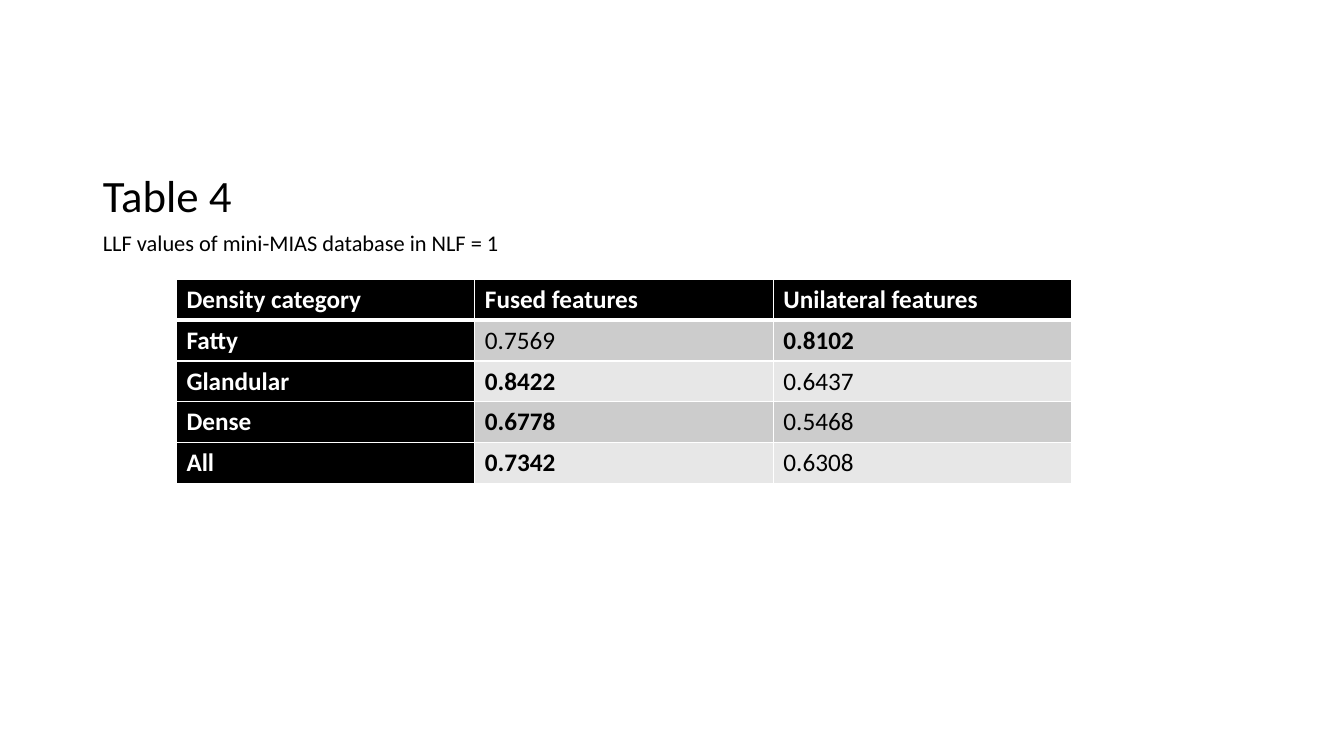
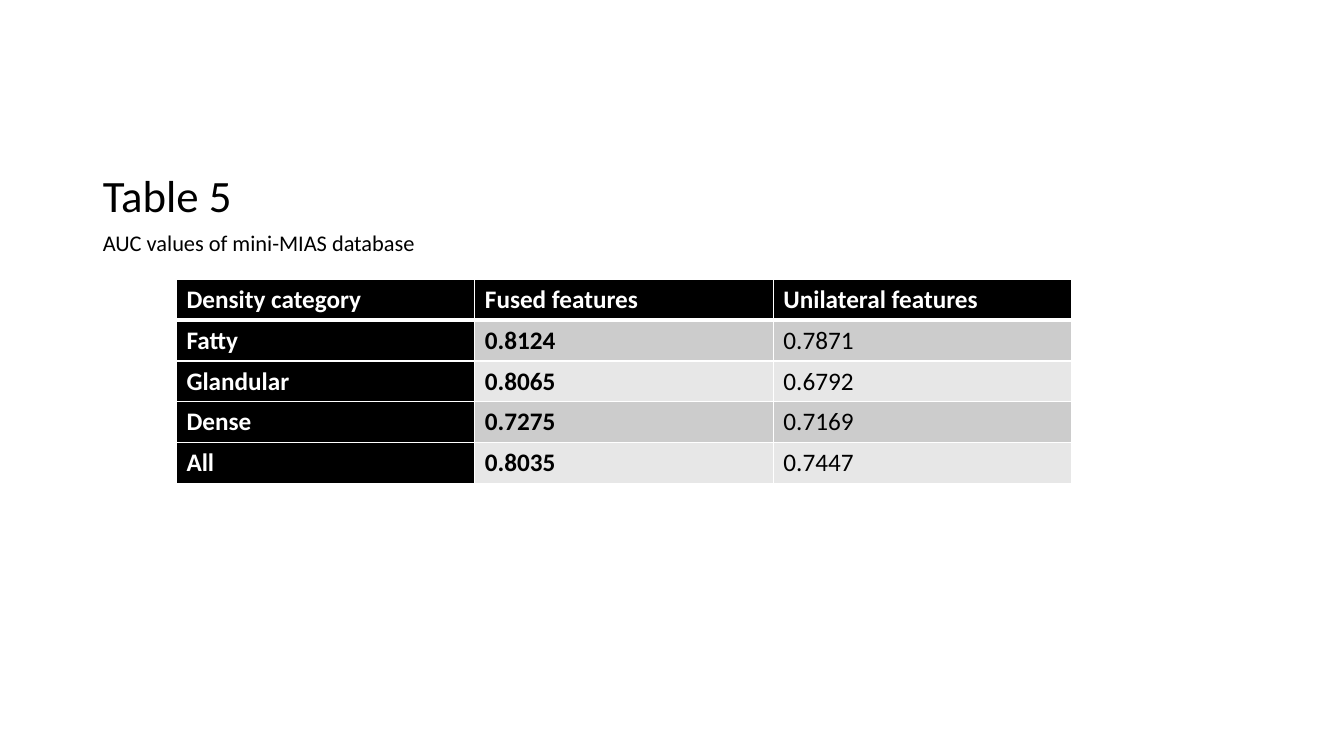
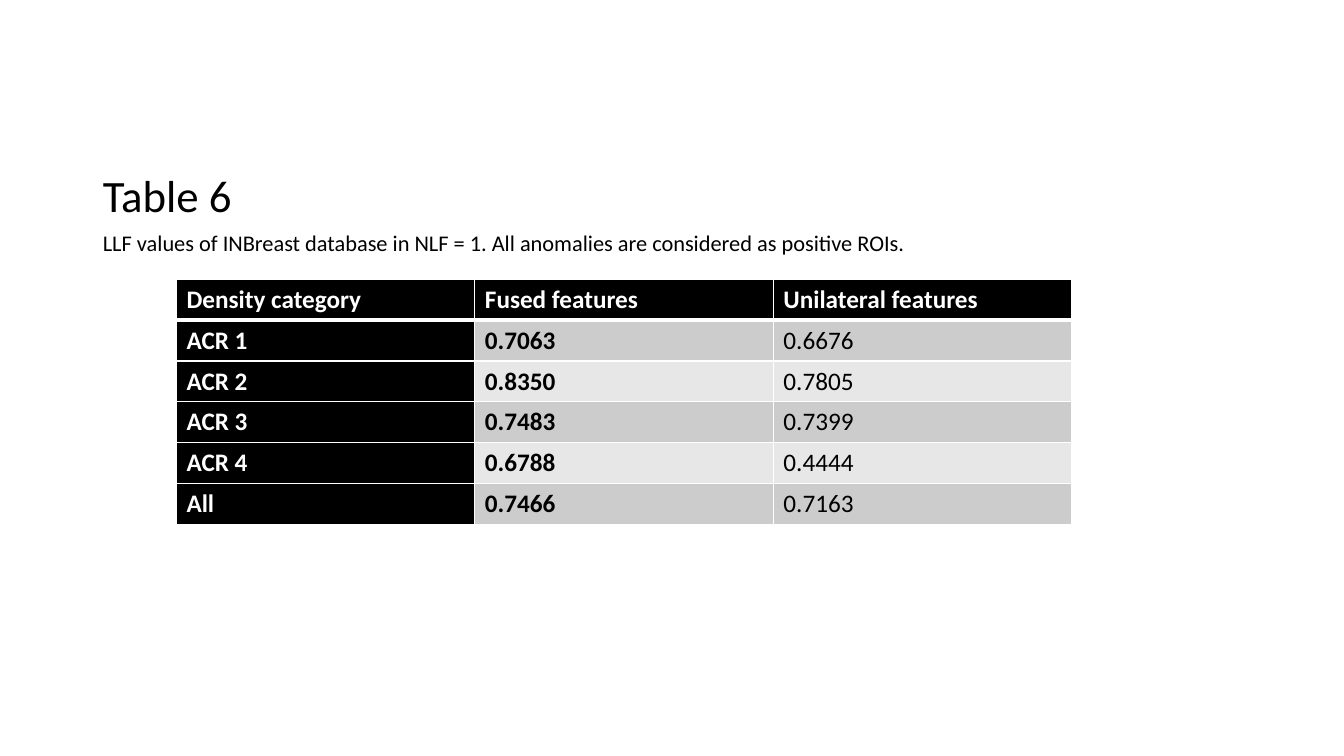
"""Build three slides of tables comparing fused and unilateral features."""
import lxml.etree
import pptx
import pptx.dml.color
import pptx.enum.text
import pptx.oxml.ns
import pptx.util

Inches = pptx.util.Inches
Pt = pptx.util.Pt
RGBColor = pptx.dml.color.RGBColor

BLACK = RGBColor(0x00, 0x00, 0x00)
WHITE = RGBColor(0xFF, 0xFF, 0xFF)
DARK_BAND = RGBColor(0xCC, 0xCC, 0xCC)
LIGHT_BAND = RGBColor(0xE7, 0xE7, 0xE7)
FONT = "Calibri"
MARGIN = 0.92
COLUMN_WIDTH = 2.96
ROW_HEIGHT = 0.405
HEADINGS = ("Density category", "Fused features", "Unilateral features")

RESULTS = [
    ("Table 4", "LLF values of mini-MIAS database in NLF = 1", 4.3, [
        ("Fatty", "0.7569", "0.8102"),
        ("Glandular", "0.8422", "0.6437"),
        ("Dense", "0.6778", "0.5468"),
        ("All", "0.7342", "0.6308"),
    ]),
    ("Table 5", "AUC values of mini-MIAS database", 4.3, [
        ("Fatty", "0.8124", "0.7871"),
        ("Glandular", "0.8065", "0.6792"),
        ("Dense", "0.7275", "0.7169"),
        ("All", "0.8035", "0.7447"),
    ]),
    ("Table 6",
     "LLF values of INBreast database in NLF = 1. All anomalies are considered as positive ROIs.", 10.3, [
         ("ACR 1", "0.7063", "0.6676"),
         ("ACR 2", "0.8350", "0.7805"),
         ("ACR 3", "0.7483", "0.7399"),
         ("ACR 4", "0.6788", "0.4444"),
         ("All", "0.7466", "0.7163"),
     ]),
]


def style_text(paragraph, size, color, bold=False):
    paragraph.font.name = FONT
    paragraph.font.size = Pt(size)
    paragraph.font.color.rgb = color
    paragraph.font.bold = bold


def add_border(cell, side, points):
    qn = pptx.oxml.ns.qn
    properties = cell._tc.get_or_add_tcPr()
    line = lxml.etree.SubElement(properties, qn(f"a:ln{side}"), w=str(Pt(points)))
    fill = lxml.etree.SubElement(line, qn("a:solidFill"))
    lxml.etree.SubElement(fill, qn("a:srgbClr"), val=str(WHITE))


presentation = pptx.Presentation()
presentation.slide_width = Inches(13.33)
presentation.slide_height = Inches(7.5)
caption_layout = presentation.slide_layouts.get_by_name("Content with Caption")

for heading, summary, summary_width, scores in RESULTS:
    slide = presentation.slides.add_slide(caption_layout)
    title, content, caption = slide.placeholders
    content.element.getparent().remove(content.element)

    for part, text, top, width, height, size, anchor, space in (
        (title, heading, 0.5, 4.3, 1.75, 32, pptx.enum.text.MSO_ANCHOR.BOTTOM, 0),
        (caption, summary, 2.25, summary_width, 4.17, 16, pptx.enum.text.MSO_ANCHOR.TOP, 10),
    ):
        part.left, part.top = Inches(MARGIN), Inches(top)
        part.width, part.height = Inches(width), Inches(height)
        part.text_frame.text = text
        part.text_frame.auto_size = pptx.enum.text.MSO_AUTO_SIZE.NONE
        part.text_frame.vertical_anchor = anchor
        paragraph = part.text_frame.paragraphs[0]
        paragraph.line_spacing = 0.9
        paragraph.space_before = Pt(space)
        style_text(paragraph, size, BLACK)

    rows = [HEADINGS] + scores
    score_table = slide.shapes.add_table(
        len(rows), len(HEADINGS), Inches(1.75), Inches(2.77),
        Inches(COLUMN_WIDTH * len(HEADINGS)), Inches(ROW_HEIGHT * len(rows))).table
    score_table.first_col = True

    for row_index, row in enumerate(rows):
        band = DARK_BAND if row_index % 2 else LIGHT_BAND
        for column_index, value in enumerate(row):
            cell = score_table.cell(row_index, column_index)
            is_label = row_index == 0 or column_index == 0
            for side in "LRTB":
                under_header = (row_index, side) in ((0, "B"), (1, "T"))
                add_border(cell, side, 3 if under_header else 1)
            cell.fill.solid()
            cell.fill.fore_color.rgb = BLACK if is_label else band
            cell.text = value
            style_text(cell.text_frame.paragraphs[0], 18, WHITE if is_label else BLACK,
                       bold=is_label or value == max(row[1:]))

presentation.save("out.pptx")
